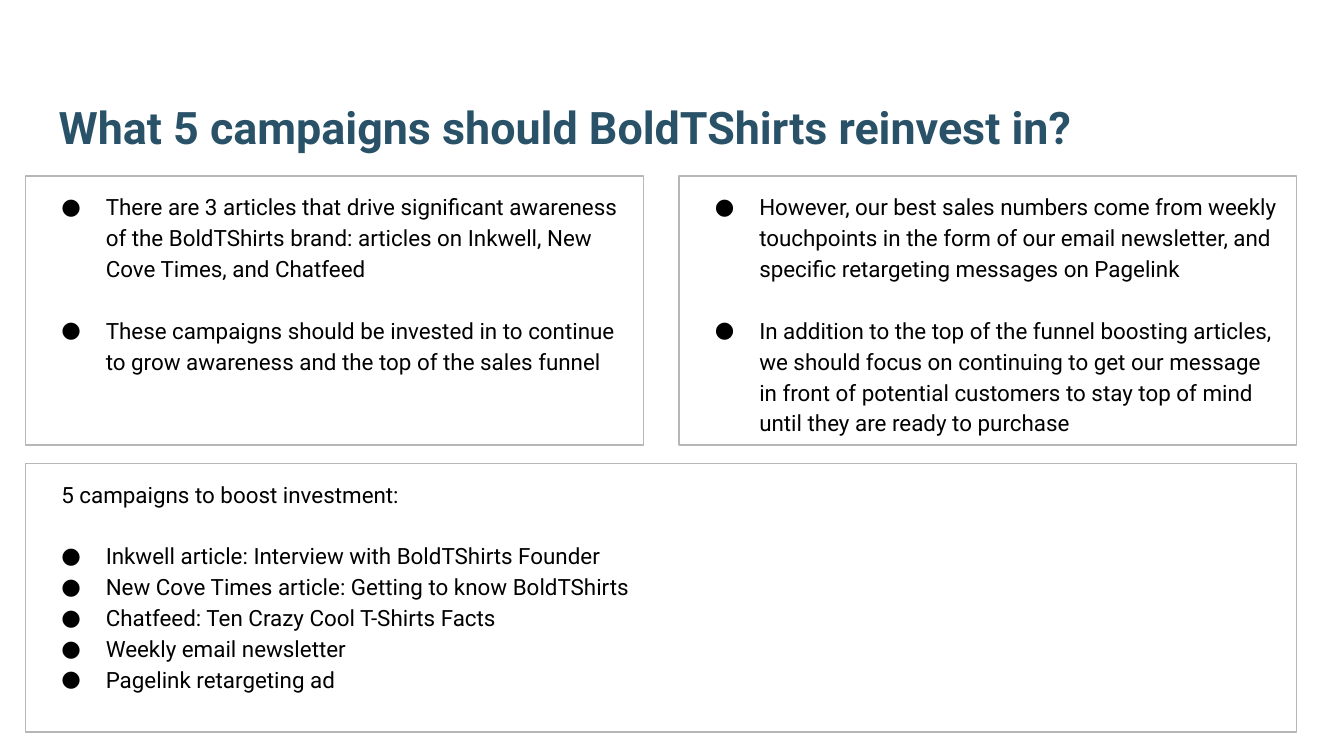
from pptx import Presentation
from pptx import util as u
from pptx.dml.color import RGBColor
from pptx.enum import shapes, text
from pptx.oxml import parse_xml
from pptx.oxml.ns import nsdecls

FONT = "Roboto"
TITLE_COLOR, TEXT_COLOR, BORDER_COLOR = "295269", "000000", "B7B7B7"
INSET, HANG, INDENT = 0.25, 0.84, 1.27  # cm
BLANK_LINE = 16.5  # points between separated paragraphs


def color(hex_string):
    return RGBColor.from_string(hex_string)


def set_frame(frame, anchor):
    frame.word_wrap = True
    frame.vertical_anchor = anchor
    frame.margin_left = frame.margin_right = u.Cm(INSET)
    frame.margin_top = frame.margin_bottom = u.Cm(INSET)


def write(paragraph, words, size=12, bold=False, ink=TEXT_COLOR,
          bullet=False, indent=0, before=0, spacing=1.15):
    paragraph.alignment = text.PP_ALIGN.LEFT
    paragraph.line_spacing = spacing
    paragraph.space_before = u.Pt(before)
    run = paragraph.add_run()
    run.text = words
    run.font.name, run.font.size, run.font.bold = FONT, u.Pt(size), bold
    run.font.color.rgb = color(ink)
    properties = paragraph._p.get_or_add_pPr()
    properties.set("marL", str(u.Cm(indent)))
    properties.set("indent", str(u.Cm(-HANG if bullet else 0)))
    if bullet:
        ns = nsdecls("a")
        properties.append(parse_xml(
            f'<a:buClr {ns}><a:srgbClr val="{ink}"/></a:buClr>'))
        properties.append(parse_xml(f'<a:buFont {ns} typeface="{FONT}"/>'))
        properties.append(parse_xml(f'<a:buChar {ns} char="●"/>'))


def add_title(slide, box, words):
    title = slide.shapes.add_textbox(*map(u.Cm, box))
    set_frame(title.text_frame, text.MSO_ANCHOR.BOTTOM)
    write(title.text_frame.paragraphs[0], words, size=24, bold=True,
          ink=TITLE_COLOR, spacing=1.0)


def add_panel(slide, box, points, heading=None, gap=0):
    """Bordered box with an optional heading and a bulleted list."""
    panel = slide.shapes.add_shape(shapes.MSO_SHAPE.RECTANGLE, *map(u.Cm, box))
    panel.shadow.inherit = False
    panel.fill.background()
    panel.line.color.rgb = color(BORDER_COLOR)
    panel.line.width = u.Pt(0.75)
    frame = panel.text_frame
    set_frame(frame, text.MSO_ANCHOR.TOP)
    paragraph = frame.paragraphs[0]
    if heading:
        write(paragraph, heading, indent=INDENT - HANG)
    for number, point in enumerate(points):
        if heading or number:
            paragraph = frame.add_paragraph()
        before = BLANK_LINE if heading and number == 0 else gap if number else 0
        write(paragraph, point, bullet=True, indent=INDENT, before=before)


def main():
    deck = Presentation()
    deck.slide_width, deck.slide_height = u.Cm(25.4), u.Cm(14.29)
    slide = deck.slides.add_slide(deck.slide_layouts[6])

    add_title(slide, (0.86, 0.81, 23.67, 2.34),
              "What 5 campaigns should BoldTShirts reinvest in?")

    # Two panels side by side: awareness and sales
    left, top, width, height = 0.48, 3.33, 24.03, 5.08
    column = 11.68
    awareness = [
        "There are 3 articles that drive significant awareness of the "
        "BoldTShirts brand: articles on Inkwell, New Cove Times, and Chatfeed",
        "These campaigns should be invested in to continue to grow awareness "
        "and the top of the sales funnel",
    ]
    sales = [
        "However, our best sales numbers come from weekly touchpoints in the "
        "form of our email newsletter, and specific retargeting messages on "
        "Pagelink",
        "In addition to the top of the funnel boosting articles, we should "
        "focus on continuing to get our message in front of potential "
        "customers to stay top of mind until they are ready to purchase",
    ]
    for x, points in ((left, awareness), (left + width - column, sales)):
        add_panel(slide, (x, top, column, height), points, gap=BLANK_LINE)

    # Full-width panel: the chosen campaigns
    campaigns = [
        "Inkwell article: Interview with BoldTShirts Founder",
        "New Cove Times article: Getting to know BoldTShirts",
        "Chatfeed: Ten Crazy Cool T-Shirts Facts",
        "Weekly email newsletter",
        "Pagelink retargeting ad",
    ]
    add_panel(slide, (left, top + height + 0.35, width, height), campaigns,
              heading="5 campaigns to boost investment:")

    deck.save("out.pptx")


if __name__ == "__main__":
    main()
